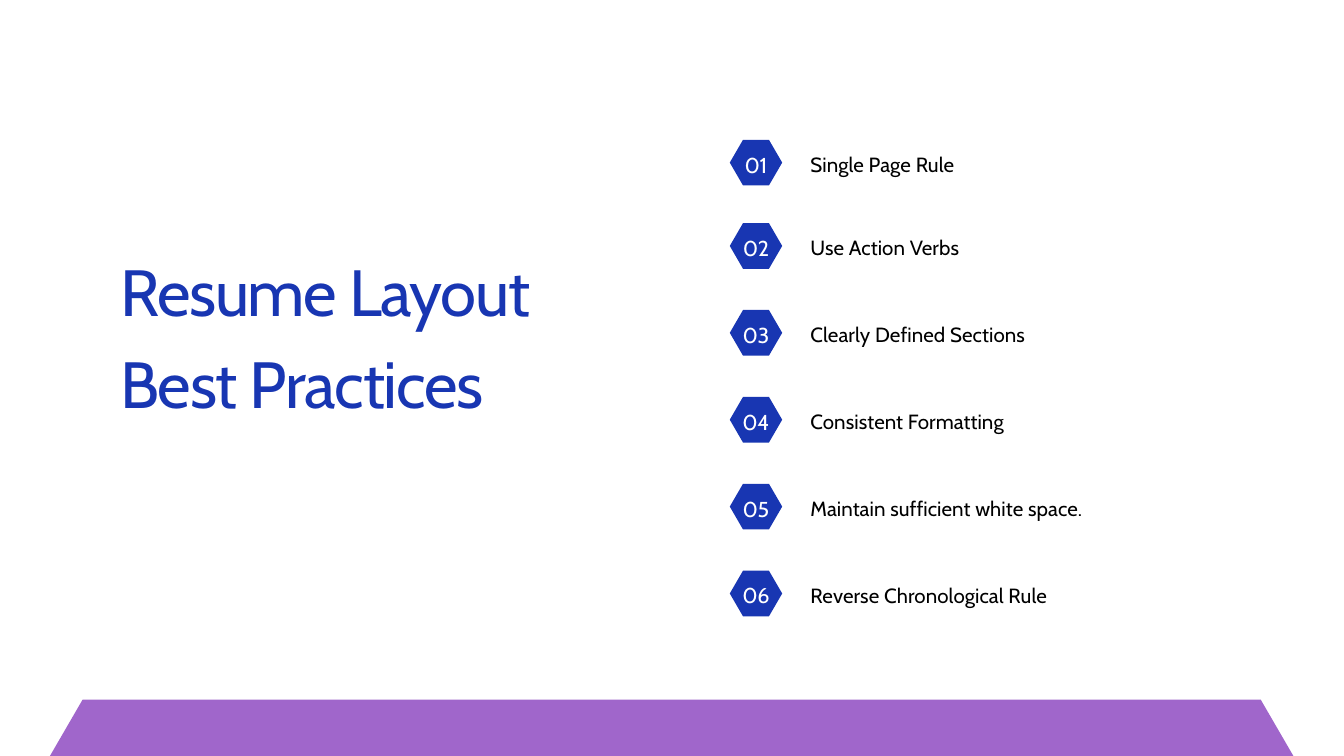
from pptx import Presentation
from pptx.dml.color import RGBColor
from pptx.enum.shapes import MSO_SHAPE as Shape
from pptx.enum.text import MSO_ANCHOR as Anchor, MSO_AUTO_SIZE as AutoSize, PP_ALIGN as Align
from pptx.util import Pt

PX = 9144  # EMU per px, 100 px to the inch
BLUE, PURPLE, WHITE, BLACK = "1836B2", "A066CB", "FFFFFF", "000000"

TITLE = "Resume Layout Best Practices"
PRACTICES = [
    "Single Page Rule",
    "Use Action Verbs",
    "Clearly Defined Sections",
    "Consistent Formatting",
    "Maintain sufficient white space.",
    "Reverse Chronological Rule",
]

# Text styles: size, line height and letter spacing in points
TITLE_STYLE = dict(size=70, line=98, spacing=-1.4, color=BLUE, align=Align.LEFT)
NUMBER_STYLE = dict(size=23.1, line=32.4, spacing=-0.5, color=WHITE, align=Align.CENTER)
LABEL_STYLE = dict(size=22, line=30.8, spacing=0.1, color=BLACK, align=Align.LEFT)

FIRST_TOP, SECOND_TOP, ROW_STEP = 208, 332, 129.3


def rgb(color):
    return RGBColor.from_string(color)


def emu(*lengths):
    return [round(length * PX) for length in lengths]


def write(shape, text, style):
    frame = shape.text_frame
    frame_format = dict(
        margin_left=0, margin_top=0, margin_right=0, margin_bottom=0,
        word_wrap=True, auto_size=AutoSize.NONE, vertical_anchor=Anchor.TOP,
    )
    for name, value in frame_format.items():
        setattr(frame, name, value)
    paragraph = frame.paragraphs[0]
    paragraph.alignment = style["align"]
    paragraph.line_spacing = Pt(style["line"])
    run = paragraph.add_run()
    run.text = text
    run.font.name = "Cabin"
    run.font.size = Pt(style["size"])
    run.font.color.rgb = rgb(style["color"])
    run.font._element.set("spc", str(round(style["spacing"] * 100)))


def add_text(slide, box, text, style):
    write(slide.shapes.add_textbox(*emu(*box)), text, style)


def add_hexagon(slide, box, color):
    hexagon = slide.shapes.add_shape(Shape.HEXAGON, *emu(*box))
    hexagon.adjustments[0] = 0.29
    hexagon.shadow.inherit = False
    hexagon.fill.solid()
    hexagon.fill.fore_color.rgb = rgb(color)
    hexagon.line.fill.background()


def main():
    presentation = Presentation()
    presentation.slide_width, presentation.slide_height = emu(2000, 1125)
    slide = presentation.slides.add_slide(presentation.slide_layouts[5])

    title = slide.shapes.title
    title.left, title.top, title.width, title.height = emu(179, 355, 708, 398)
    write(title, TITLE, TITLE_STYLE)

    add_hexagon(slide, (74, 1041, 1851, 169), PURPLE)

    for index, practice in enumerate(PRACTICES):
        top = SECOND_TOP + (index - 1) * ROW_STEP if index else FIRST_TOP
        add_hexagon(slide, (1086, top, 78, 68), BLUE)
        add_text(slide, (1103, top + 11, 44, 42), f"{index + 1:02}", NUMBER_STYLE)
        add_text(slide, (1206, top + 12, 571, 41), practice, LABEL_STYLE)

    presentation.save("out.pptx")


if __name__ == "__main__":
    main()
